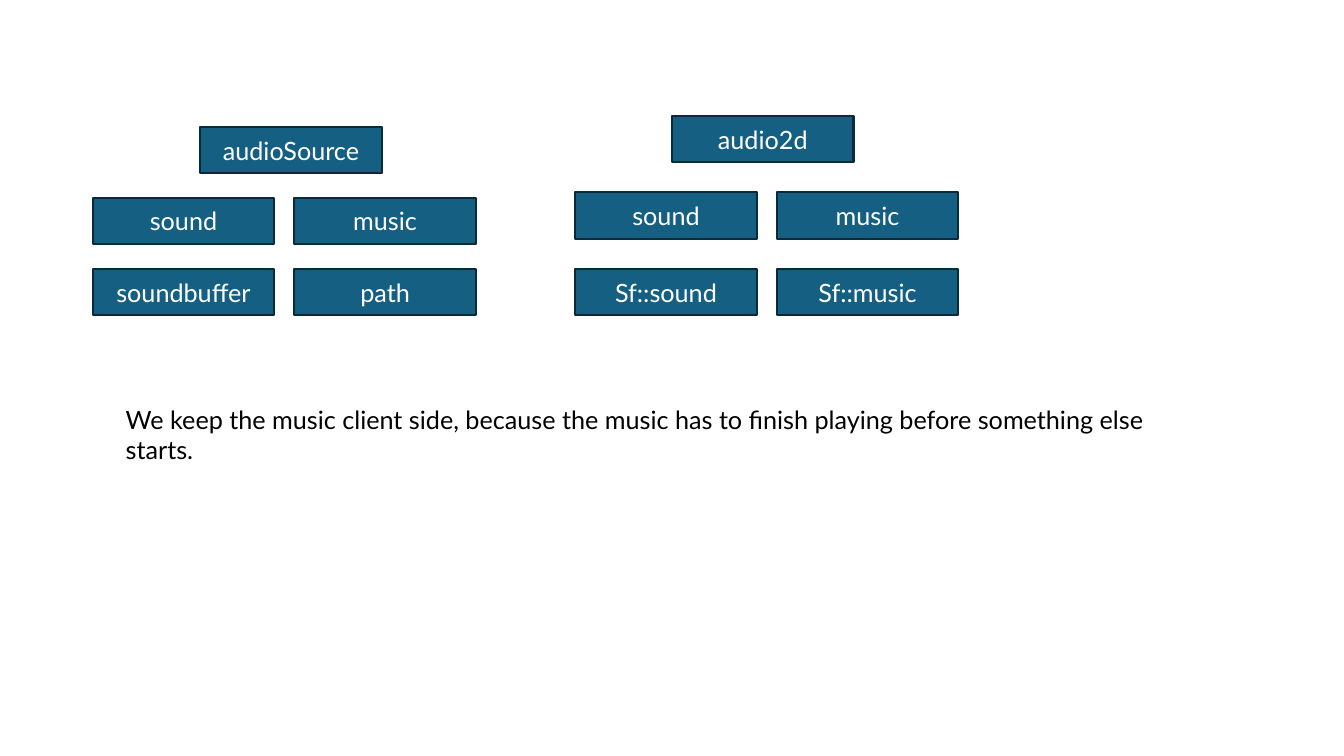
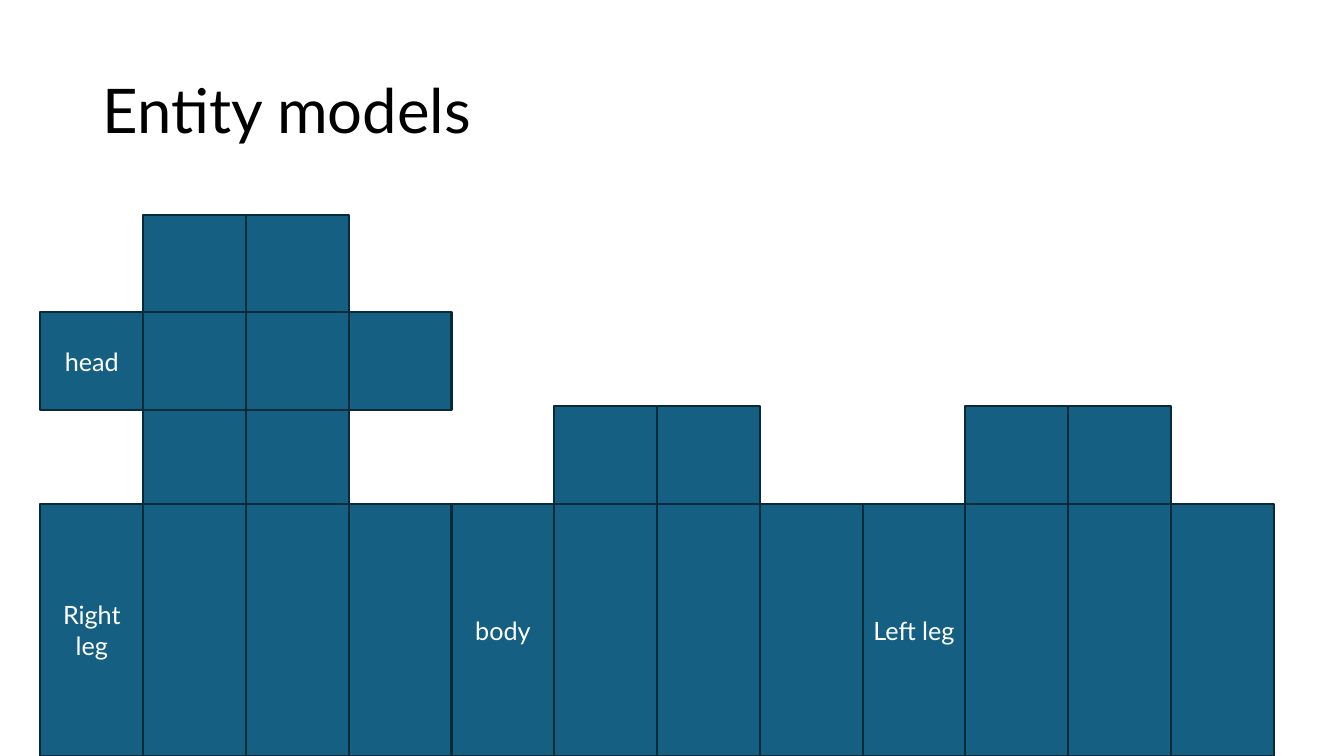
from pptx import Presentation
from pptx.dml.color import RGBColor
from pptx.enum.shapes import MSO_SHAPE as Preset
from pptx.enum.text import MSO_ANCHOR as Anchor, PP_ALIGN as Align
from pptx.util import Cm, Pt

COLORS = {"box": "156082", "edge": "092A39", "light": "FFFFFF", "dark": "000000"}
FONT = "Lato"
TITLE_ONLY, BLANK = 5, 6

NODE_WIDTH, NODE_HEIGHT, NODE_STEP = 4.57, 1.17, 5.08

FACE_WIDTH, FACE_HEIGHT, LIMB_HEIGHT = 2.59, 2.46, 6.35
MODEL_LEFT, LIMB_TOP, HEAD_TOP = 1.02, 12.7, 7.87
FACES_PER_PART = 4


def color(name):
    return RGBColor.from_string(COLORS[name])


def write(frame, text, size=18, ink="dark", align=Align.LEFT, anchor=Anchor.TOP, spacing=1.0):
    frame.word_wrap = True
    frame.vertical_anchor = anchor
    paragraph = frame.paragraphs[0]
    paragraph.alignment = align
    paragraph.line_spacing = spacing
    run = paragraph.add_run()
    run.text = text
    run.font.name = FONT
    run.font.size = Pt(size)
    run.font.color.rgb = color(ink)


def add_title(slide, text):
    title = slide.shapes.title
    title.left, title.top, title.width, title.height = Cm(2.33), Cm(1.01), Cm(29.21), Cm(3.68)
    write(title.text_frame, text, size=44, anchor=Anchor.MIDDLE, spacing=0.9)


def add_note(slide, text, left, top, width, height):
    note = slide.shapes.add_textbox(Cm(left), Cm(top), Cm(width), Cm(height))
    write(note.text_frame, text)


def add_box(slide, left, top, width, height, label=""):
    box = slide.shapes.add_shape(Preset.RECTANGLE, Cm(left), Cm(top), Cm(width), Cm(height))
    box.shadow.inherit = False
    box.fill.solid()
    box.fill.fore_color.rgb = color("box")
    box.line.color.rgb = color("edge")
    box.line.width = Pt(1.5)
    if label:
        write(box.text_frame, label, ink="light", align=Align.CENTER, anchor=Anchor.MIDDLE)


def add_class_tree(slide, root, root_left, root_top, left, rows):
    add_box(slide, root_left, root_top, NODE_WIDTH, NODE_HEIGHT, root)
    for top, labels in rows:
        for column, label in enumerate(labels):
            add_box(slide, left + column * NODE_STEP, top, NODE_WIDTH, NODE_HEIGHT, label)


def add_faces(slide, first, count, top, height, label=""):
    for column in range(first, first + count):
        left = MODEL_LEFT + column * FACE_WIDTH
        add_box(slide, left, top, FACE_WIDTH, height, label if column == first else "")


def add_body_part(slide, label, first, top, height):
    add_faces(slide, first, FACES_PER_PART, top, height, label)
    add_faces(slide, first + 1, 2, top - FACE_HEIGHT, FACE_HEIGHT)


def build_audio_slide(deck):
    slide = deck.slides.add_slide(deck.slide_layouts[BLANK])
    add_class_tree(slide, "audioSource", 5.05, 3.2, 2.34,
                   [(4.98, ("sound", "music")), (6.78, ("soundbuffer", "path"))])
    add_class_tree(slide, "audio2d", 16.94, 2.92, 14.5,
                   [(4.85, ("sound", "music")), (6.78, ("Sf::sound", "Sf::music"))])
    add_note(slide, "We keep the music client side, because the music has to finish playing "
             "before something else starts.", 2.92, 10.06, 27.76, 1.03)


def build_model_slide(deck):
    slide = deck.slides.add_slide(deck.slide_layouts[TITLE_ONLY])
    add_title(slide, "Entity models")
    for index, label in enumerate(("Right leg", "body", "Left leg")):
        add_body_part(slide, label, index * FACES_PER_PART, LIMB_TOP, LIMB_HEIGHT)
    add_body_part(slide, "head", 0, HEAD_TOP, FACE_HEIGHT)


def main():
    deck = Presentation()
    deck.slide_width, deck.slide_height = Cm(33.87), Cm(19.05)
    build_audio_slide(deck)
    build_model_slide(deck)
    deck.save("out.pptx")


if __name__ == "__main__":
    main()
